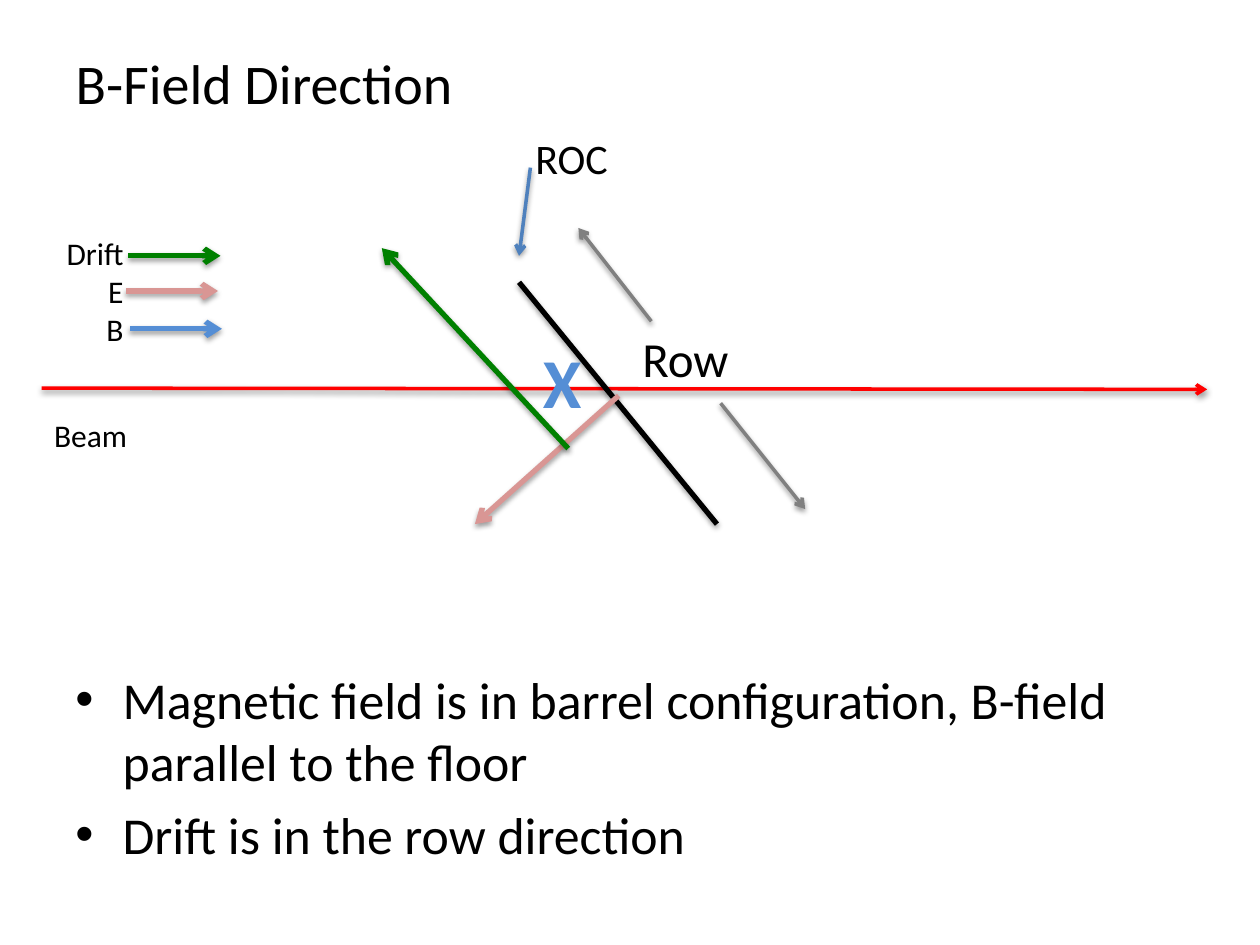
from dataclasses import dataclass
from lxml.etree import SubElement
from pptx import Presentation
from pptx.dml.color import RGBColor
from pptx.enum.shapes import MSO_CONNECTOR
from pptx.enum.text import MSO_ANCHOR, PP_ALIGN
from pptx.oxml.ns import qn
from pptx.util import Pt


@dataclass(frozen=True)
class Theme:
    font: str = "Calibri"
    text: str = "000000"
    beam: str = "FF0000"
    drift: str = "008000"
    electric: str = "D99694"
    magnetic: str = "558ED5"
    row: str = "808080"
    pointer: str = "4F81BD"
    title: float = 32
    body: float = 29.6
    label: float = 18
    roc: float = 24
    row_label: float = 28
    cross: float = 40
    thin: float = 2
    thick: float = 3


THEME = Theme()


def format_font(font, size, color=THEME.text, bold=False):
    values = {"name": THEME.font, "size": Pt(size), "bold": bold}
    for name, value in values.items():
        setattr(font, name, value)
    font.color.rgb = RGBColor.from_string(color)


def format_frame(tf, **values):
    for name, value in values.items():
        setattr(tf, name, value)


def add_text(s, box, lines, size, color=THEME.text, bold=False,
             align=PP_ALIGN.LEFT, wrap=True):
    tf = s.shapes.add_textbox(*map(Pt, box)).text_frame
    format_frame(tf, text="\n".join(lines), word_wrap=wrap)
    for p in tf.paragraphs:
        p.alignment = align
        for r in p.runs:
            format_font(r.font, size, color, bold)
    return tf


def add_line(s, origin, start, end, color, width, arrow=True):
    x, y = origin
    line = s.shapes.add_connector(
        MSO_CONNECTOR.STRAIGHT, Pt(x + start[0]), Pt(y + start[1]),
        Pt(x + end[0]), Pt(y + end[1]))
    line.line.color.rgb = RGBColor.from_string(color)
    line.line.width = Pt(width)
    if arrow:
        SubElement(line.line._get_or_add_ln(), qn("a:tailEnd"), type="arrow")
    effects = SubElement(line._element.spPr, qn("a:effectLst"))
    shadow = SubElement(effects, qn("a:outerShdw"), blurRad=str(Pt(3.1)),
                        dist=str(Pt(1.6)), dir="5400000", rotWithShape="0")
    black = SubElement(shadow, qn("a:srgbClr"), val="000000")
    SubElement(black, qn("a:alpha"), val="38000")


def add_title(s, box, text):
    sp = s.shapes.title
    for name, value in zip(("left", "top", "width", "height"), box):
        setattr(sp, name, Pt(value))
    tf = sp.text_frame
    format_frame(tf, text=text, vertical_anchor=MSO_ANCHOR.MIDDLE)
    p = tf.paragraphs[0]
    p.alignment = PP_ALIGN.LEFT
    format_font(p.runs[0].font, THEME.title)


def add_bullets(s, box, lines):
    tf = add_text(s, box, lines, THEME.body)
    for p in tf.paragraphs:
        p.space_before = Pt(THEME.body * 0.2)
        pPr = p._p.get_or_add_pPr()
        pPr.set("marL", str(Pt(27)))
        pPr.set("indent", str(Pt(-27)))
        SubElement(pPr, qn("a:buFont"), typeface="Arial")
        SubElement(pPr, qn("a:buChar"), char="•")


def add_beam(s, box):
    x, y, w, h = box
    add_line(s, (x, y), (0, 0), (w, 0.7), THEME.beam, THEME.thin)
    add_text(s, (x, y + 12.2, 126, h - 12.2), ["Beam"], THEME.label)


def add_legend(s, box):
    entries = [("Drift", THEME.drift, 43.2, 15.9),
               ("E", THEME.electric, 41.8, 36),
               ("B", THEME.magnetic, 44, 57.6)]
    for _, color, x, y in entries:
        add_line(s, box[:2], (x, y), (x + 52.6, y), color, THEME.thick)
    add_text(s, (*box[:2], 47.5, box[3]), [entry[0] for entry in entries],
             THEME.label, align=PP_ALIGN.RIGHT, wrap=False)


def add_field(s, box):
    x, y = origin = box[:2]
    add_line(s, origin, (80.6, 31.3), (193.7, 169.5), THEME.text,
             THEME.thick, arrow=False)
    add_line(s, origin, (137.5, 96.1), (55.4, 169.5), THEME.electric, THEME.thick)
    add_text(s, (x + 87.1, y + 60.1, 62.6, 55.4), ["X"], THEME.cross,
             THEME.magnetic, bold=True)
    add_line(s, origin, (108.7, 126.3), (2.2, 11.8), THEME.drift, THEME.thick)
    add_text(s, (x + 144, y + 54.3, 67, 41), ["Row"], THEME.row_label)
    add_line(s, origin, (156.2, 53.6), (114.5, 0.3), THEME.row, THEME.thin)
    add_line(s, origin, (195.8, 100.4), (244.1, 160.9), THEME.row, THEME.thin)


def add_roc(s, box):
    x, y, w, _ = box
    add_line(s, (x, y), (6.5, 23.8), (0, 74.2), THEME.pointer, THEME.thin)
    add_text(s, (x + 2.2, y, w - 2.2, 36), ["ROC"], THEME.roc)


def main():
    prs = Presentation()
    prs.slide_width, prs.slide_height = Pt(720), Pt(540)
    s = prs.slides.add_slide(prs.slide_layouts[5])
    add_title(s, (36, 21.6, 648, 50.4), "B-Field Direction")
    add_bullets(s, (36, 378, 648, 104.4), [
        "Magnetic field is in barrel configuration, B-field parallel to the floor",
        "Drift is in the row direction"])
    add_beam(s, (23.8, 221.8, 666, 41))
    add_legend(s, (30.2, 130.3, 96.6, 72.7))
    add_field(s, (216, 130, 244.1, 169.5))
    add_roc(s, (296.6, 72, 136.8, 74.2))
    prs.save("out.pptx")


if __name__ == "__main__":
    main()
